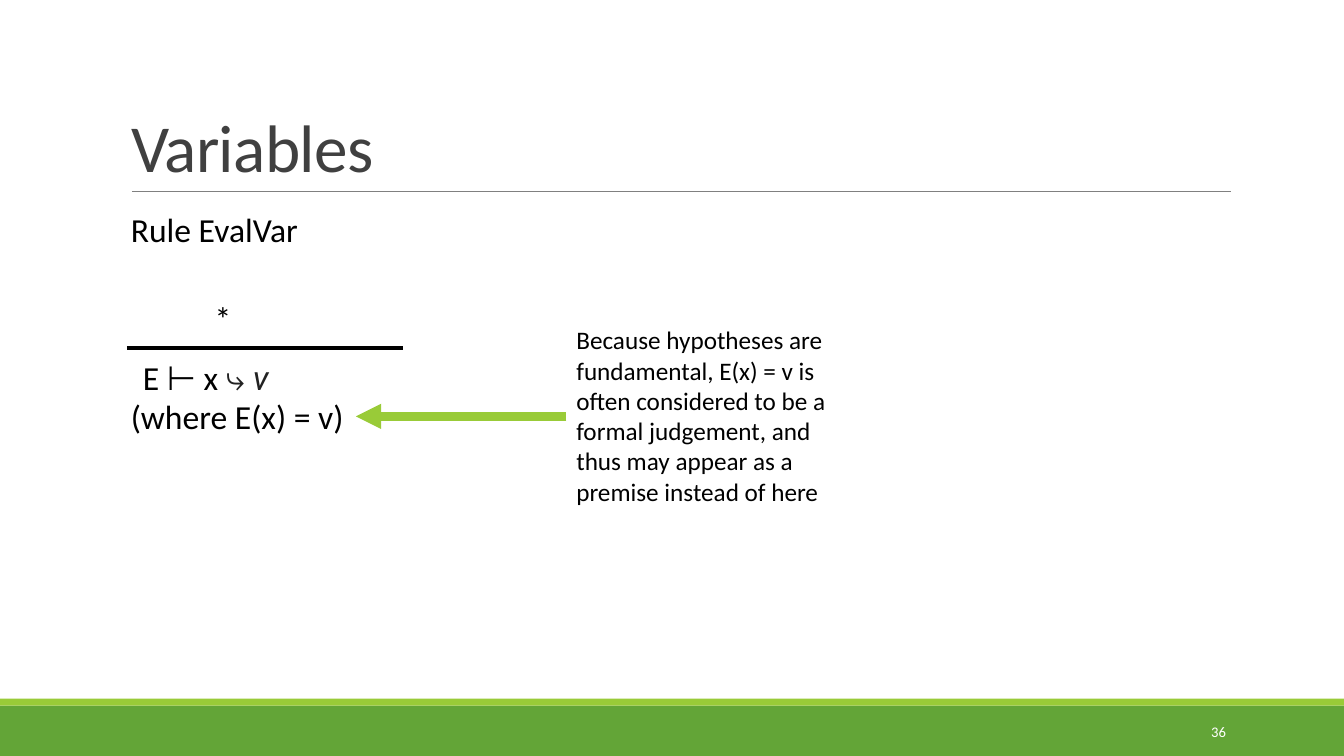
from lxml import etree
from pptx import Presentation
from pptx.dml.color import RGBColor
from pptx.enum.shapes import MSO_CONNECTOR, MSO_SHAPE
from pptx.enum.text import MSO_ANCHOR, MSO_AUTO_SIZE, PP_ALIGN
from pptx.oxml.ns import qn
from pptx.util import Pt

STRAIGHT = MSO_CONNECTOR.STRAIGHT
RECT = MSO_SHAPE.RECTANGLE
TOP, MIDDLE, BOTTOM = MSO_ANCHOR.TOP, MSO_ANCHOR.MIDDLE, MSO_ANCHOR.BOTTOM
FIT, FIXED = MSO_AUTO_SIZE.SHAPE_TO_FIT_TEXT, MSO_AUTO_SIZE.NONE
LEFT, RIGHT = PP_ALIGN.LEFT, PP_ALIGN.RIGHT

COLORS = {
    "green": "63A537",
    "lime": "99CB38",
    "gray": "808080",
    "title": "404040",
    "symbol": "222222",
    "black": "000000",
    "white": "FFFFFF",
}
WIDTH, HEIGHT = 960, 540


class SlideBuilder:
    font = "Calibri"
    symbol_font = "Roboto"

    def __init__(self, prs):
        self.slide = prs.slides.add_slide(prs.slide_layouts[5])

    def color(self, name):
        return RGBColor.from_string(COLORS[name])

    def style(self, r, size, color, font=None, italic=False):
        r.font.name = font or self.font
        r.font.size = Pt(size)
        r.font.color.rgb = self.color(color)
        r.font.bold = False
        r.font.italic = italic

    def bar(self, top, height, color):
        sp = self.slide.shapes.add_shape(RECT, 0, Pt(top), Pt(WIDTH), Pt(height))
        sp.shadow.inherit = False
        sp.fill.solid()
        sp.fill.fore_color.rgb = self.color(color)
        sp.line.fill.background()

    def line(self, x1, y1, x2, y2, color, width):
        cn = self.slide.shapes.add_connector(STRAIGHT, Pt(x1), Pt(y1), Pt(x2), Pt(y2))
        cn.line.color.rgb = self.color(color)
        cn.line.width = Pt(width)
        etree.SubElement(cn._element.spPr, qn("a:effectLst"))
        return cn

    def arrow(self, source, target, color, width):
        cn = self.line(0, 0, 0, 0, color, width)
        cn.begin_connect(source, 1)
        cn.end_connect(target, 3)
        ln = cn._element.spPr.find(qn("a:ln"))
        etree.SubElement(ln, qn("a:tailEnd"), type="triangle")

    def title(self, text, left, top, width, height):
        sp = self.slide.shapes.title
        sp.left, sp.top, sp.width, sp.height = Pt(left), Pt(top), Pt(width), Pt(height)
        tf = sp.text_frame
        tf.text = text
        tf.auto_size = FIXED
        tf.vertical_anchor = BOTTOM
        p = tf.paragraphs[0]
        p.alignment = LEFT
        p.line_spacing = 0.85
        r = p.runs[0]
        self.style(r, 48, "title")
        r.font._element.set("spc", "-50")

    def text(self, text, left, top, width, height, size=24, color="black",
             wrap=True, fit=FIT, anchor=TOP, align=LEFT):
        sp = self.slide.shapes.add_textbox(Pt(left), Pt(top), Pt(width), Pt(height))
        tf = sp.text_frame
        tf.text = text
        tf.word_wrap = wrap
        tf.auto_size = fit
        tf.vertical_anchor = anchor
        p = tf.paragraphs[0]
        p.alignment = align
        self.style(p.runs[0], size, color)
        return sp

    def symbols(self, sp, *parts):
        p = sp.text_frame.paragraphs[0]
        for text, italic in parts:
            r = p.add_run()
            r.text = text
            self.style(r, 24, "symbol", self.symbol_font, italic)


def main():
    prs = Presentation()
    prs.slide_width, prs.slide_height = Pt(WIDTH), Pt(HEIGHT)
    s = SlideBuilder(prs)

    s.bar(504, 36, "green")
    s.bar(499, 5, "lime")
    s.line(94.3, 136.8, 879.1, 136.8, "gray", 0.5)
    s.title("Variables", 86.4, 22.3, 792, 114.5)

    s.line(90.7, 248.6, 288, 248.6, "black", 2.25)
    s.text("Rule EvalVar", 86.4, 145.6, 176.4, 36)
    conclusion = s.text("E ⊢ x ", 95, 251.3, 204.5, 36)
    s.symbols(conclusion, ("⤷", False), (" v", True))
    condition = s.text("(where E(x) = v)", 86.4, 279.4, 167.8, 36, wrap=False)
    s.text("*", 146.2, 209.5, 28.8, 36)

    note = s.text(
        "Because hypotheses are fundamental, E(x) = v is often considered to be "
        "a formal judgement, and thus may appear as a premise instead of here",
        404.6, 228.4, 210.2, 138, size=18)
    s.arrow(note, condition, "lime", 6)
    s.text("36", 779.8, 508.3, 103, 28.8, size=10.5, color="white",
           fit=FIXED, anchor=MIDDLE, align=RIGHT)

    prs.save("out.pptx")


if __name__ == "__main__":
    main()
